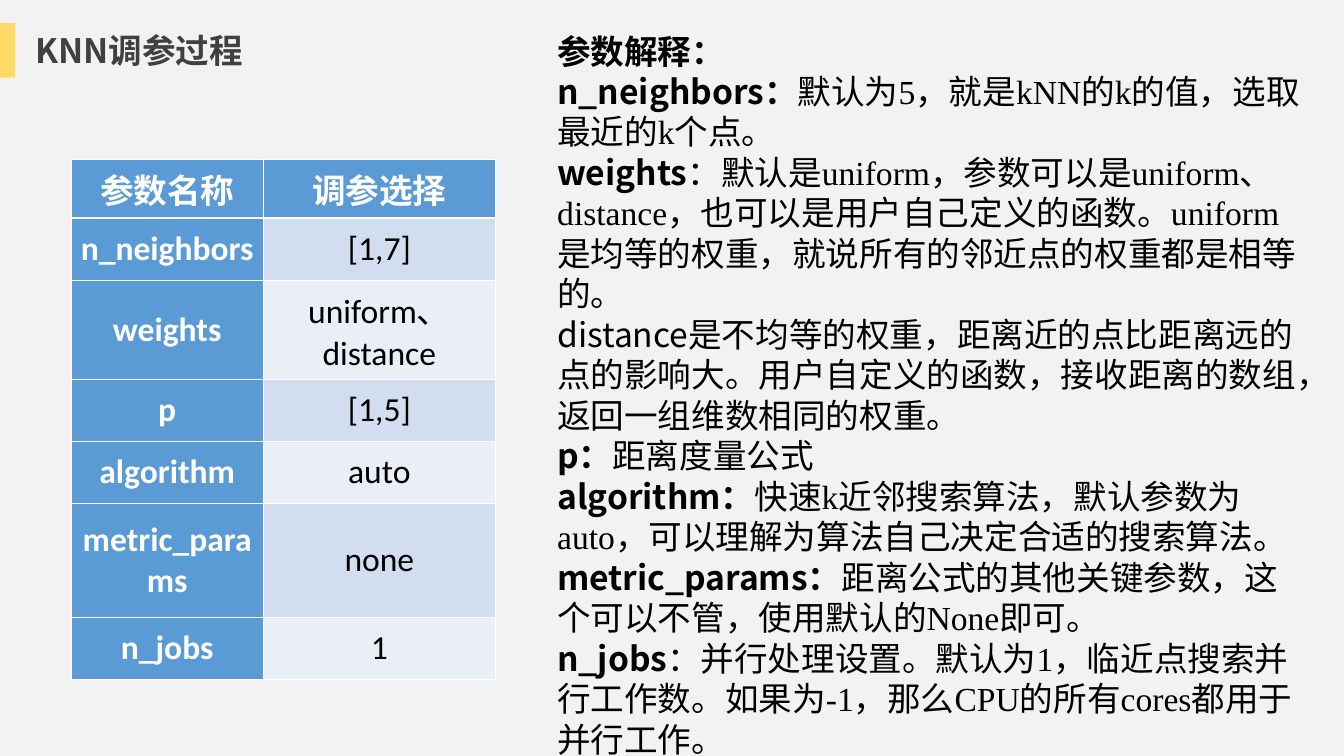
from pptx import Presentation
from pptx.dml.color import RGBColor
from pptx.enum.shapes import MSO_SHAPE
from pptx.enum.text import MSO_ANCHOR, MSO_AUTO_SIZE, PP_ALIGN
from pptx.util import Pt
from lxml.etree import SubElement
from pptx.oxml.ns import qn

BACKGROUND = RGBColor(0xF2, 0xF2, 0xF2)
YELLOW = RGBColor(0xFF, 0xD9, 0x66)
GREY = RGBColor(0x40, 0x40, 0x40)
BLACK = RGBColor(0, 0, 0)
WHITE = RGBColor(0xFF, 0xFF, 0xFF)
BLUE = RGBColor(0x5B, 0x9B, 0xD5)
BANDS = [RGBColor(0xEA, 0xEF, 0xF7), RGBColor(0xD2, 0xDE, 0xEF)]
SANS, SERIF, TABLE_FONT = "Noto Sans CJK SC", "Times New Roman", "Calibri"


def add_span(para, text, name, color, bold):
    span = para.add_run()
    span.text = text
    span.font.color.rgb = color
    for key, value in {"name": name, "size": Pt(24), "bold": bold}.items():
        setattr(span.font, key, value)
    SubElement(span.font._element, qn("a:ea"), typeface=SANS)


def place(box, left, top, width, height, anchor):
    frame = {"left": left, "top": top, "width": width, "height": height}
    for key, value in frame.items():
        setattr(box, key, Pt(value))
    settings = {"word_wrap": True, "auto_size": MSO_AUTO_SIZE.NONE, "vertical_anchor": anchor}
    for key, value in settings.items():
        setattr(box.text_frame, key, value)


deck = Presentation()
deck.slide_width, deck.slide_height = Pt(960.5), Pt(540)
page = deck.slides.add_slide(deck.slide_layouts[1])
page.background.fill.solid()
page.background.fill.fore_color.rgb = BACKGROUND

marker = page.shapes.add_shape(MSO_SHAPE.RECTANGLE, Pt(-0.7), Pt(16.6), Pt(11.5), Pt(38.9))
marker.shadow.inherit = False
marker.fill.solid()
marker.fill.fore_color.rgb = YELLOW
marker.line.fill.background()

title = page.shapes.title
place(title, 18, 18, 342, 36, MSO_ANCHOR.MIDDLE)
title_para = title.text_frame.paragraphs[0]
title_para.alignment = PP_ALIGN.LEFT
add_span(title_para, "KNN调参过程", SANS, GREY, True)

rows = [
    ("参数名称", "调参选择", 41),
    ("n_neighbors", "[1,7]", 44),
    ("weights", "uniform、distance", 57.6),
    ("p", "[1,5]", 44),
    ("algorithm", "auto", 44),
    ("metric_params", "none", 82),
    ("n_jobs", "1", 44),
]
table = page.shapes.add_table(len(rows), 2, Pt(51.1), Pt(113.8), Pt(303.2), Pt(356.6)).table
table.first_row = table.horz_banding = False
for column, width in zip(table.columns, (136.8, 166.4)):
    column.width = Pt(width)
for row_index, (*texts, height) in enumerate(rows):
    table.rows[row_index].height = Pt(height)
    for column_index, text in enumerate(texts):
        cell = table.cell(row_index, column_index)
        heading = row_index == 0 or column_index == 0
        cell_format = {
            "vertical_anchor": MSO_ANCHOR.MIDDLE,
            "margin_left": Pt(5.8),
            "margin_right": Pt(5.8),
        }
        for key, value in cell_format.items():
            setattr(cell, key, value)
        properties = cell._tc.get_or_add_tcPr()
        for side in "LRTB":
            under_header = (row_index, side) in ((0, "B"), (1, "T"))
            border = SubElement(properties, qn(f"a:ln{side}"), w=str(Pt(1.47 if under_header else 0.45)))
            border_fill = SubElement(border, qn("a:solidFill"))
            SubElement(border_fill, qn("a:srgbClr"), val=str(WHITE))
        cell.fill.solid()
        cell.fill.fore_color.rgb = BLUE if heading else BANDS[row_index % 2]
        para = cell.text_frame.paragraphs[0]
        para.alignment = PP_ALIGN.CENTER
        add_span(para, text, TABLE_FONT, WHITE if heading else BLACK, heading)

explanations = [
    [("参数解释：", SERIF, True)],
    [("n_neighbors", SANS, True), ("：", SERIF, True),
     ("默认为5，就是kNN的k的值，选取最近的k个点。", SERIF, False)],
    [("weights", SANS, True),
     ("：默认是uniform，参数可以是uniform、distance，也可以是用户自己定义的函数。"
      "uniform是均等的权重，就说所有的邻近点的权重都是相等的。", SERIF, False)],
    [("distance", SANS, False),
     ("是不均等的权重，距离近的点比距离远的点的影响大。"
      "用户自定义的函数，接收距离的数组，返回一组维数相同的权重。", SERIF, False)],
    [("p", SANS, True), ("：", SERIF, True), ("距离度量公式", SERIF, False)],
    [("algorithm", SANS, True), ("：", SERIF, True),
     ("快速k近邻搜索算法，默认参数为auto，可以理解为算法自己决定合适的搜索算法。", SERIF, False)],
    [("metric_params", SANS, True), ("：", SERIF, True),
     ("距离公式的其他关键参数，这个可以不管，使用默认的None即可。", SERIF, False)],
    [("n_jobs", SANS, True),
     ("：并行处理设置。默认为1，临近点搜索并行工作数。"
      "如果为-1，那么CPU的所有cores都用于并行工作。", SERIF, False)],
]
body = page.placeholders[1]
place(body, 391, 18, 551, 522, MSO_ANCHOR.TOP)
for index, spans in enumerate(explanations):
    para = body.text_frame.add_paragraph() if index else body.text_frame.paragraphs[0]
    para_format = {"alignment": PP_ALIGN.LEFT, "space_before": Pt(0), "line_spacing": Pt(28.9)}
    for key, value in para_format.items():
        setattr(para, key, value)
    properties = para._p.get_or_add_pPr()
    properties.set("marL", "0")
    properties.set("indent", "0")
    SubElement(properties, qn("a:buNone"))
    for text, name, bold in spans:
        add_span(para, text, name, BLACK, bold)

deck.save("out.pptx")
